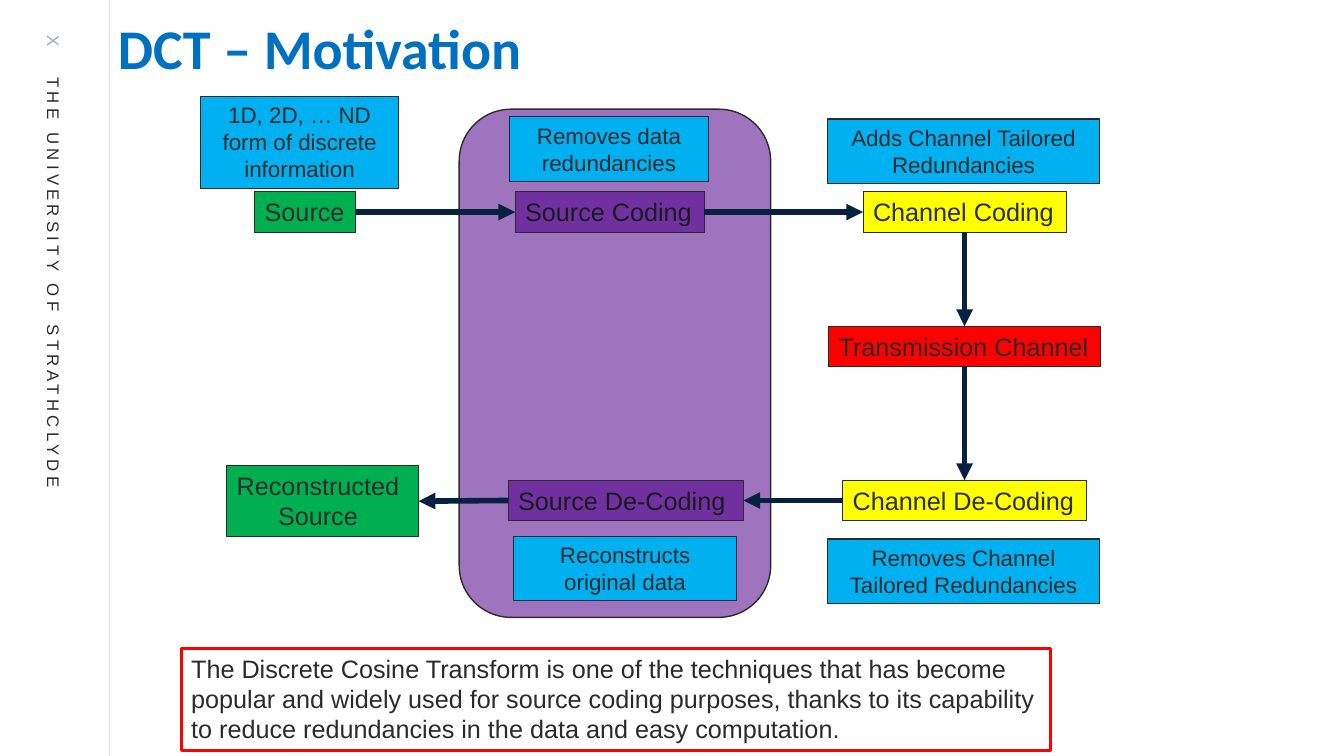
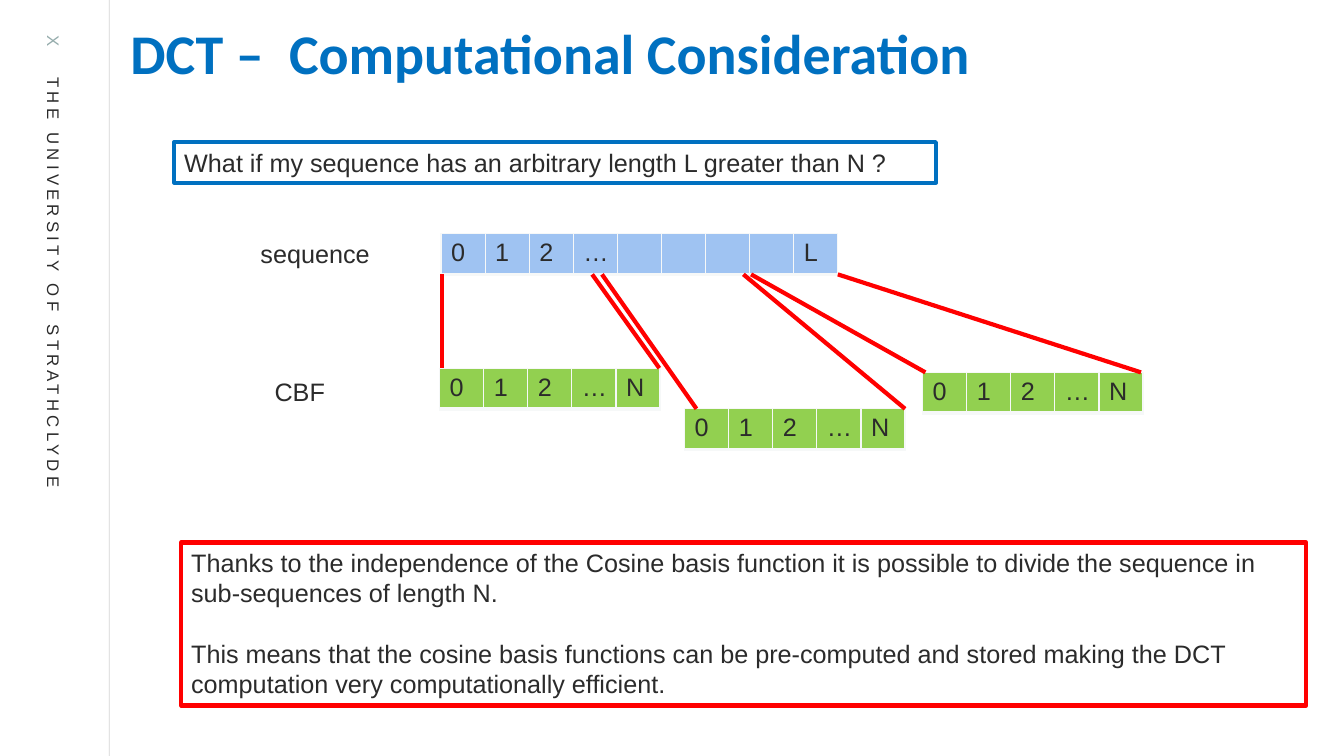
from lxml import etree
from pptx import Presentation
from pptx.dml.color import RGBColor
from pptx.enum import shapes, text
from pptx.oxml import ns
from pptx.util import Pt

COLORS = {
    "ink": "2B2B2B", "dark": "161C1C", "muted": "95ACAC", "title": "0070C0",
    "arrow": "092140", "red": "FF0000", "green": "00B050", "purple": "7030A0",
    "yellow": "FFFF00", "note": "00B0F0", "sequence": "9FC3F2",
    "basis": "92D050", "grid": "F6F8F8",
}
LEFT, CENTER = text.PP_ALIGN.LEFT, text.PP_ALIGN.CENTER
TOP_SIDE, LEFT_SIDE, BOTTOM_SIDE, RIGHT_SIDE = range(4)
STAGE_HEIGHT = 29
CELL_WIDTH, CELL_HEIGHT = 31.5, 29


def rgb(name):
    return RGBColor.from_string(COLORS[name])


def sub(parent, tag, **attributes):
    return etree.SubElement(parent, ns.qn(tag), attributes)


def set_alpha(fill_parent, percent):
    color = fill_parent.find(f"{ns.qn('a:solidFill')}/{ns.qn('a:srgbClr')}")
    sub(color, "a:alpha", val=str(percent * 1000))


def set_line(line, color, width):
    line.color.rgb = rgb(color)
    line.width = Pt(width)


def add_run(paragraph, words, color="ink", size=18, font="Arial", bold=False):
    run = paragraph.add_run()
    run.text = words
    run.font.name, run.font.size, run.font.bold = font, Pt(size), bold
    run.font.color.rgb = rgb(color)
    return run


def add_box(slide, frame, paragraphs, fill=None, line=None, width=0.75,
            color="ink", size=18, aligns=(LEFT,), wrap=True, gap=0):
    """Text box; the last of aligns holds for all further paragraphs."""
    box = slide.shapes.add_textbox(*map(Pt, frame))
    if fill:
        box.fill.solid()
        box.fill.fore_color.rgb = rgb(fill)
    if line:
        set_line(box.line, line, width)
    body = box.text_frame
    body.word_wrap = wrap
    body.auto_size = text.MSO_AUTO_SIZE.SHAPE_TO_FIT_TEXT
    for i, words in enumerate(paragraphs):
        paragraph = body.add_paragraph() if i else body.paragraphs[0]
        paragraph.alignment = aligns[min(i, len(aligns) - 1)]
        if i and gap:
            paragraph.space_before = Pt(gap)
        add_run(paragraph, words, color, size)
    return box


def add_line(slide, points, color, width):
    line = slide.shapes.add_connector(
        shapes.MSO_CONNECTOR.STRAIGHT, *map(Pt, points))
    set_line(line.line, color, width)
    sub(line._element.spPr, "a:effectLst")
    return line


def add_arrow(slide, start, start_side, end, end_side):
    arrow = add_line(slide, (0, 0, 0, 0), "arrow", 4)
    arrow.begin_connect(start, start_side)
    arrow.end_connect(end, end_side)
    sub(arrow.line._get_or_add_ln(), "a:tailEnd", type="triangle")


def add_side_band(slide):
    rule = add_line(slide, (78, 0, 78, 540), "ink", 0.5)
    set_alpha(rule.line._get_or_add_ln(), 20)
    band = slide.shapes.add_textbox(Pt(-165.5), Pt(211.5), Pt(408), Pt(21.5))
    band.rotation = 90
    band.text_frame.word_wrap = True
    paragraph = band.text_frame.paragraphs[0]
    tabs = sub(paragraph._p.get_or_add_pPr(), "a:tabLst")
    sub(tabs, "a:tab", pos=str(Pt(30)), algn="l")
    for words, color in (("X", "muted"),
                         ("\tTHE UNIVERSITY OF STRATHCLYDE", "ink")):
        run = add_run(paragraph, words, color, 12)
        run._r.get_or_add_rPr().set("spc", "300")


def add_titled_slide(deck, words, frame):
    slide = deck.slides.add_slide(deck.slide_layouts[5])
    add_side_band(slide)
    title = slide.shapes.title
    title.left, title.top, title.width, title.height = map(Pt, frame)
    body = title.text_frame
    body.auto_size = text.MSO_AUTO_SIZE.NONE
    body.vertical_anchor = text.MSO_ANCHOR.MIDDLE
    body.paragraphs[0].alignment = LEFT
    add_run(body.paragraphs[0], words, "title", 40, "Calibri", True)
    return slide


def add_coding_chain(slide, left, top):
    def place(x, y, width, height):
        return left + x, top + y, width, height

    panel = slide.shapes.add_shape(
        shapes.MSO_SHAPE.ROUNDED_RECTANGLE,
        *map(Pt, place(185, 9, 222.5, 363)))
    panel.shadow.inherit = False
    panel.fill.solid()
    panel.fill.fore_color.rgb = rgb("purple")
    set_alpha(panel._element.spPr, 67)
    set_line(panel.line, "ink", 1)

    def stage(x, y, width, fill, *lines, height=STAGE_HEIGHT):
        return add_box(slide, place(x, y, width, height), lines, fill, "ink",
                       color="dark" if fill == "purple" else "ink",
                       aligns=(LEFT, CENTER), wrap=False)

    source = stage(39, 68, 72, "green", "Source")
    source_coding = stage(225, 68, 135, "purple", "Source Coding")
    channel_coding = stage(473.5, 68, 145, "yellow", "Channel Coding")
    transmission = stage(449, 164, 194, "red", "Transmission Channel")
    channel_decoding = stage(459, 274, 174, "yellow", "Channel De-Coding")
    source_decoding = stage(220, 274, 168, "purple", "Source De-Coding")
    reconstructed = stage(19, 263.5, 137, "green", "Reconstructed", "Source",
                          height=51)

    for link in (
        (source, RIGHT_SIDE, source_coding, LEFT_SIDE),
        (source_coding, RIGHT_SIDE, channel_coding, LEFT_SIDE),
        (channel_coding, BOTTOM_SIDE, transmission, TOP_SIDE),
        (transmission, BOTTOM_SIDE, channel_decoding, TOP_SIDE),
        (channel_decoding, LEFT_SIDE, source_decoding, RIGHT_SIDE),
        (source_decoding, LEFT_SIDE, reconstructed, RIGHT_SIDE),
    ):
        add_arrow(slide, *link)

    for words, frame in (
        ("1D, 2D, … ND form of discrete information", (0, 0, 142, 66)),
        ("Removes data redundancies", (221, 14.5, 142, 46)),
        ("Adds Channel Tailored Redundancies", (448, 16, 194.5, 46)),
        ("Removes Channel Tailored Redundancies", (448, 316, 194.5, 46)),
        ("Reconstructs original data", (224, 314, 159, 46)),
    ):
        add_box(slide, place(*frame), [words], "note", "ink", size=16,
                aligns=(CENTER,))


def add_strip(slide, left, top, labels, fill):
    """One-row table of equal cells."""
    table = slide.shapes.add_table(
        1, len(labels), Pt(left), Pt(top),
        Pt(CELL_WIDTH * len(labels)), Pt(CELL_HEIGHT)).table
    table.first_row = table.horz_banding = False
    for column, label in enumerate(labels):
        table.columns[column].width = Pt(CELL_WIDTH)
        cell = table.cell(0, column)
        borders = cell._tc.get_or_add_tcPr()
        for side, width in (("L", 1), ("R", 1), ("T", 1), ("B", 3)):
            edge = sub(borders, f"a:ln{side}", w=str(Pt(width)))
            sub(sub(edge, "a:solidFill"), "a:srgbClr", val=COLORS["grid"])
        cell.fill.solid()
        cell.fill.fore_color.rgb = rgb(fill)
        if label:
            add_run(cell.text_frame.paragraphs[0], label)


def add_segmentation(slide, left, top):
    for words, x, y, width in (("sequence", 0, 0, 94), ("CBF", 10, 98, 51)):
        add_box(slide, (left + x, top + y, width, STAGE_HEIGHT), [words],
                wrap=False)
    add_strip(slide, left + 136, top,
              ["0", "1", "2", "…", "", "", "", "", "L"], "sequence")
    for x, y, projections in (
        (135, 96, ((136.5, 136.5), (244, 292))),
        (310, 125, ((251, 318.5), (352, 467.5))),
        (480, 99, ((357.5, 482), (419.5, 636))),
    ):
        add_strip(slide, left + x, top + y, ["0", "1", "2", "…", "N"], "basis")
        for start, end in projections:
            add_line(slide, (left + start, top + CELL_HEIGHT,
                             left + end, top + y), "red", 3)


def build_motivation(deck):
    slide = add_titled_slide(deck, "DCT – Motivation", (77, -2, 612, 72))
    add_coding_chain(slide, 143, 69)
    add_box(slide, (129.5, 463, 621, 73), [
        "The Discrete Cosine Transform is one of the techniques that has "
        "become popular and widely used for source coding purposes, thanks "
        "to its capability to reduce redundancies in the data and easy "
        "computation."], line="red", width=2.25)


def build_computation(deck):
    slide = add_titled_slide(deck, "DCT –  Computational Consideration",
                             (86, 1.5, 675, 72))
    add_box(slide, (124.5, 101.5, 544, 29), [
        "What if my sequence has an arbitrary length L greater than N ?"],
        line="title", width=3)
    add_segmentation(slide, 179, 167)
    add_box(slide, (129.5, 387.5, 803.5, 116.5), [
        "Thanks to the independence of the Cosine basis function it is "
        "possible to divide the sequence in sub-sequences of length N.",
        "This means that the cosine basis functions can be pre-computed and "
        "stored making the DCT computation very computationally efficient."],
        line="red", width=3, gap=21.5)


def main():
    deck = Presentation()
    deck.slide_width, deck.slide_height = Pt(960), Pt(540)
    build_motivation(deck)
    build_computation(deck)
    deck.save("out.pptx")


if __name__ == "__main__":
    main()
